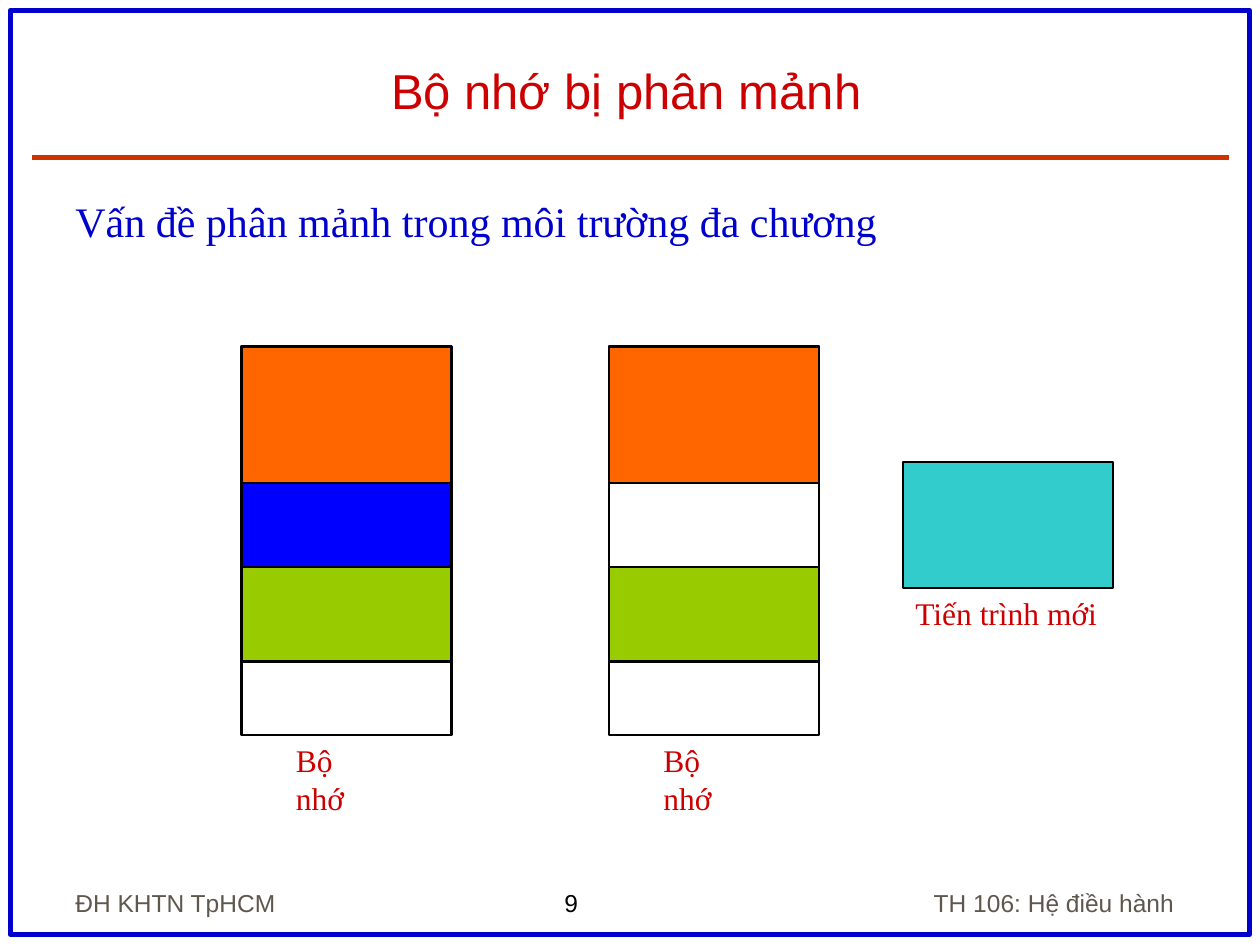
"""Build the slide on memory fragmentation in a multiprogramming system."""

from dataclasses import dataclass
from typing import Optional

from lxml.etree import SubElement
from pptx import Presentation
from pptx.dml.color import RGBColor
from pptx.enum.shapes import MSO_CONNECTOR, MSO_SHAPE
from pptx.enum.text import MSO_ANCHOR, MSO_AUTO_SIZE, PP_ALIGN
from pptx.oxml.ns import qn
from pptx.util import Pt

RED, BLUE, GREY, BLACK = "CC0000", "0000CC", "5E574E", "000000"
SERIF, SANS = "Times New Roman", "Arial"
MEMORY_TOP, MEMORY_WIDTH, MEMORY_HEIGHT = 198, 120, 222
LABEL_INDENT = 24


@dataclass(frozen=True)
class Label:
    text: str
    left: float
    top: float
    width: float
    height: float
    size: float = 18
    font: str = SERIF
    color: str = RED
    align: PP_ALIGN = PP_ALIGN.LEFT
    anchor: MSO_ANCHOR = MSO_ANCHOR.TOP
    wrap: bool = True


@dataclass(frozen=True)
class Block:
    height: float
    fill: Optional[str]


@dataclass(frozen=True)
class Memory:
    left: float
    blocks: tuple[Block, ...]


ORANGE_BLOCK = Block(78, "FF6600")
BLUE_BLOCK = Block(48, "0000FF")
GREEN_BLOCK = Block(54, "99CC00")
FREE_BLOCK = Block(48, None)

MEMORIES = (
    Memory(138, (ORANGE_BLOCK, BLUE_BLOCK, GREEN_BLOCK)),
    Memory(348, (ORANGE_BLOCK, FREE_BLOCK, GREEN_BLOCK)),
)

LABELS = (
    Label("9", 315.5, 504, 78, 24.5, 14, SANS, BLACK, wrap=True),
    Label("ĐH KHTN TpHCM", 36, 492, 150, 36, 14, SANS, GREY,
          anchor=MSO_ANCHOR.BOTTOM),
    Label("TH 106: Hệ điều hành", 480, 492, 198, 36, 14, SANS, GREY,
          PP_ALIGN.RIGHT, MSO_ANCHOR.BOTTOM),
    Label("Bộ nhớ bị phân mảnh", 31.5, 18, 652.5, 54, 28, SANS, RED,
          PP_ALIGN.CENTER, MSO_ANCHOR.BOTTOM),
    Label("Vấn đề phân mảnh trong môi trường đa chương",
          36, 108, 644, 369, 24, SERIF, BLUE),
    Label("Tiến trình mới", 516, 336, 119, 29, wrap=False),
)


def rgb(value: str) -> RGBColor:
    """Turn a hex string into a colour."""
    return RGBColor.from_string(value)


def add_label(page, label: Label) -> None:
    """Add a text box with one formatted paragraph."""
    box = page.shapes.add_textbox(
        Pt(label.left), Pt(label.top), Pt(label.width), Pt(label.height))
    frame = box.text_frame
    frame.text = label.text
    frame.word_wrap = label.wrap
    frame.vertical_anchor = label.anchor
    if not label.wrap:
        frame.auto_size = MSO_AUTO_SIZE.SHAPE_TO_FIT_TEXT
    para = frame.paragraphs[0]
    para.alignment = label.align
    span = para.runs[0]
    span.font.size = Pt(label.size)
    span.font.name = label.font
    span.font.color.rgb = rgb(label.color)


def add_rectangle(page, left: float, top: float, width: float, height: float,
                  fill: Optional[str] = None, line: str = BLACK,
                  weight: float = 1.5) -> None:
    """Add an outlined rectangle, filled when a colour is given."""
    box = page.shapes.add_shape(
        MSO_SHAPE.RECTANGLE, Pt(left), Pt(top), Pt(width), Pt(height))
    box.shadow.inherit = False
    if fill:
        box.fill.solid()
        box.fill.fore_color.rgb = rgb(fill)
    else:
        box.fill.background()
    box.line.color.rgb = rgb(line)
    box.line.width = Pt(weight)


def add_rule(page, left: float, right: float, top: float, color: str) -> None:
    """Add the horizontal line below the title."""
    rule = page.shapes.add_connector(
        MSO_CONNECTOR.STRAIGHT, Pt(left), Pt(top), Pt(right), Pt(top))
    rule.line.color.rgb = rgb(color)
    rule.line.width = Pt(3)
    SubElement(rule.element.spPr, qn("a:effectLst"))


def add_memory(page, memory: Memory) -> None:
    """Add a memory column with its stacked blocks and its label."""
    add_rectangle(page, memory.left, MEMORY_TOP, MEMORY_WIDTH, MEMORY_HEIGHT)
    top = MEMORY_TOP
    for block in memory.blocks:
        if block.fill:
            add_rectangle(page, memory.left, top, MEMORY_WIDTH, block.height,
                          block.fill)
        top += block.height
    add_label(page, Label("Bộ nhớ", memory.left + LABEL_INDENT,
                          MEMORY_TOP + MEMORY_HEIGHT, 67, 29, wrap=False))


def main() -> None:
    """Build and save the deck."""
    deck = Presentation()
    deck.slide_width, deck.slide_height = Pt(720), Pt(540)
    page = deck.slides.add_slide(deck.slide_layouts[6])
    add_rectangle(page, 6, 6, 708, 528, line=BLUE, weight=3)
    add_rule(page, 18, 702, 90, "CC3300")
    for label in LABELS:
        add_label(page, label)
    for memory in MEMORIES:
        add_memory(page, memory)
    add_rectangle(page, 516, 264, MEMORY_WIDTH, 72, "33CCCC")
    deck.save("out.pptx")


if __name__ == "__main__":
    main()
